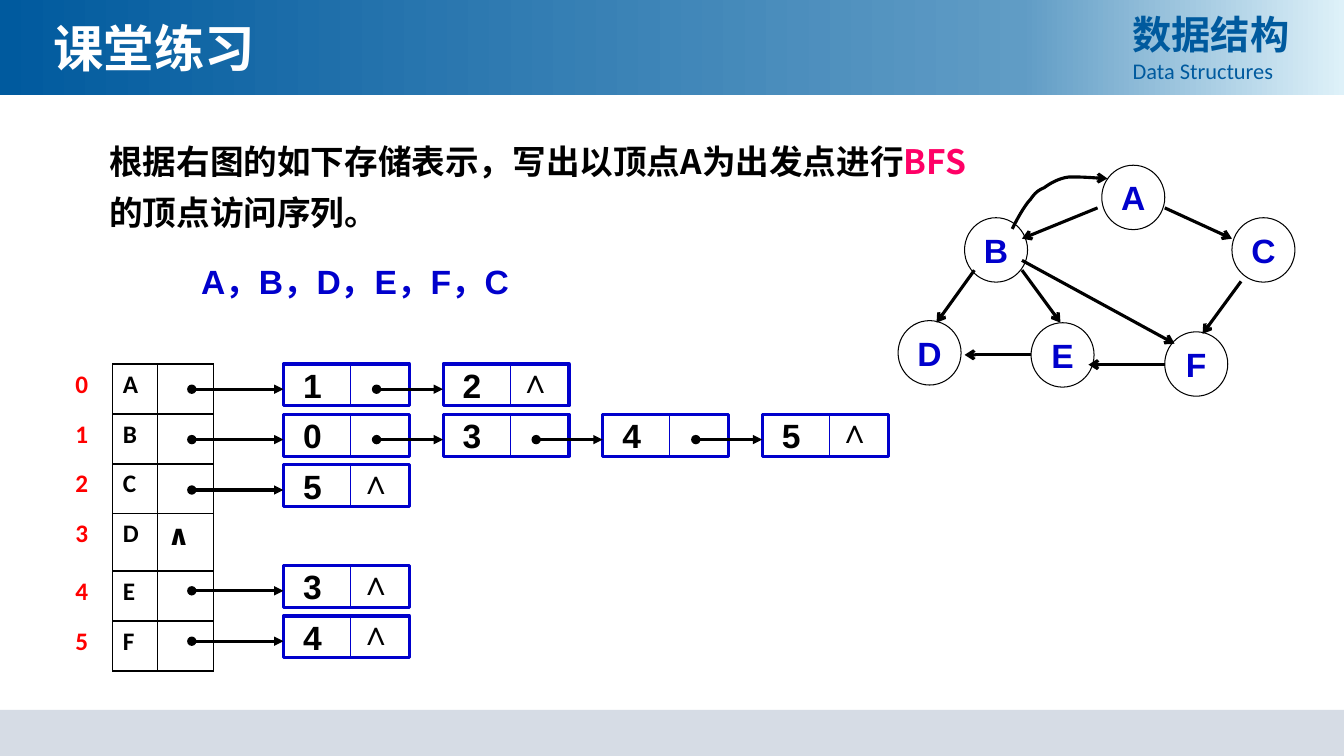
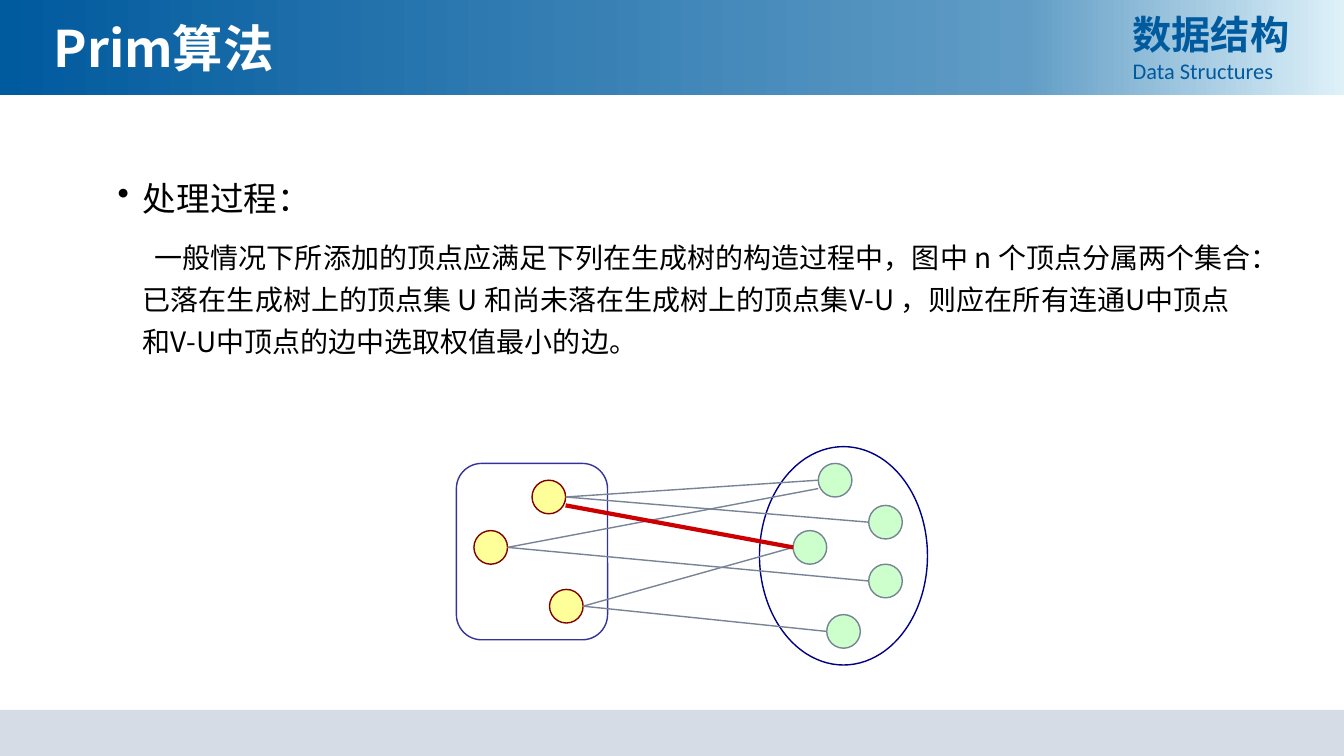
from copy import deepcopy

from pptx import Presentation
from pptx.dml.color import RGBColor
from pptx.enum import shapes as kinds, text as text_enums
from pptx.oxml.ns import qn
from pptx.util import Pt

BLUE = RGBColor(0x00, 0x5A, 0x9E)
MID_BLUE = RGBColor(0x60, 0x9C, 0xC5)
PALE_BLUE = RGBColor(0xDE, 0xF1, 0xF9)
FOOTER_GREY = RGBColor(0xD6, 0xDC, 0xE5)
WHITE = RGBColor(0xFF, 0xFF, 0xFF)
BLACK = RGBColor(0x00, 0x00, 0x00)
PINK = RGBColor(0xFF, 0x00, 0x66)
RED = RGBColor(0xFF, 0x00, 0x00)
INK_BLUE = RGBColor(0x00, 0x00, 0xCC)
INDIGO = RGBColor(0x33, 0x33, 0x99)
NAVY = RGBColor(0x00, 0x00, 0x82)
YELLOW = RGBColor(0xFF, 0xFF, 0x99)
MAROON = RGBColor(0x80, 0x00, 0x00)
GREEN = RGBColor(0xCC, 0xFF, 0xCC)
SLATE = RGBColor(0x77, 0x84, 0x95)
EDGE_RED = RGBColor(0xCC, 0x00, 0x00)

CJK, LATIN, SANS = "Noto Sans CJK SC", "Calibri", "Arial"
ALIGN, ANCHOR, SHAPE = text_enums.PP_ALIGN, text_enums.MSO_ANCHOR, kinds.MSO_SHAPE
NO_TABLE_STYLE = "{2D5ABB26-0587-4C30-8999-92F81FD0307C}"
WIDTH, HEIGHT = 960, 540

COURSE = [[("数据结构", {})],
          [("Data Structures", dict(size=16, font=LATIN, bold=False))]]

# Slide 1
EXERCISE = [[("根据右图的如下存储表示，写出以顶点A为出发点进行", {}),
             ("BFS", dict(color=PINK)),
             ("的顶点访问序列。", {})]]
ANSWER = "A，B，D，E，F，C"
ADJACENCY = [("A", [1, 2]), ("B", [0, 3, 4, 5]), ("C", [5]),
             ("D", []), ("E", [3]), ("F", [4])]
VERTICES = {"A": (787, 118), "C": (880, 155.5), "B": (689, 155.5),
            "D": (641.5, 229), "E": (736.5, 230.5), "F": (832, 237)}
ARCS = [(832, 148.5, 880, 170.5), (784, 148.5, 730, 170.5),
        (696, 193, 669, 230.5), (730, 193, 757.5, 230.5),
        (736.5, 253.5, 689, 253.5), (886.5, 201, 859, 238.5),
        (730, 186, 839, 245.5), (832, 260.5, 777.5, 260.5)]
# Bézier points of the arc from B to A: a start, then three for each piece
BACK_ARC = [(791, 127.5), (787, 127.5), (771, 126), (763, 126.5),
            (756, 127.5), (750, 131), (746, 134),
            (741.5, 136), (739.5, 137.5), (736, 142.5),
            (731.5, 147), (725.5, 158.5), (723, 163.5)]

# Slide 2
PROCESS_HEAD = "处理过程："
PROCESS = ("一般情况下所添加的顶点应满足下列在生成树的构造过程中，图中 n 个顶点分属两个集合："
           "已落在生成树上的顶点集 U 和尚未落在生成树上的顶点集V-U ，"
           "则应在所有连通U中顶点和V-U中顶点的边中选取权值最小的边。")
TREE_NODES = [(380, 343), (338.5, 379), (392.5, 421)]
OTHER_NODES = [(584.5, 331), (620.5, 361), (566.5, 379), (620.5, 403), (590.5, 439)]
# tree node, other node, vertical offset at each end
EDGES = [(0, 0, 0, 0), (1, 3, 0, 0), (2, 4, 0, 0),
         (2, 2, 0, 0), (0, 1, 0, 0), (1, 0, 0, 6)]
LIGHTEST_EDGE = (0, 2, 6, 0)
NODE = 24


def set_text(target, content, *, size=24, color=BLACK, font=CJK, bold=True,
             align=ALIGN.LEFT, spacing=None, anchor=ANCHOR.TOP,
             insets=(7.2, 3.6, 7.2, 3.6)):
    """Fill a shape or cell; content is a string or paragraphs of (text, format) runs."""
    frame = target.text_frame
    holder = target if hasattr(target, "vertical_anchor") else frame
    holder.vertical_anchor = anchor
    (holder.margin_left, holder.margin_top,
     holder.margin_right, holder.margin_bottom) = map(Pt, insets)
    frame.word_wrap = True
    if isinstance(content, str):
        content = [[(content, {})]]
    for number, runs in enumerate(content):
        paragraph = frame.add_paragraph() if number else frame.paragraphs[0]
        paragraph.alignment = align
        if spacing:
            paragraph.line_spacing = spacing
        for words, changes in runs:
            style = dict(size=size, color=color, font=font, bold=bold) | changes
            run = paragraph.add_run()
            run.text = words
            run.font.size = Pt(style["size"])
            run.font.bold = style["bold"]
            run.font.color.rgb = style["color"]
            run.font.name = style["font"]
            latin = run.font._element.find(qn("a:latin"))
            east_asian = latin.makeelement(qn("a:ea"), {"typeface": style["font"]})
            latin.addnext(east_asian)


def add_text(slide, box, content, **style):
    shape = slide.shapes.add_textbox(*map(Pt, box))
    set_text(shape, content, **style)
    return shape


def set_outline(shape, color, width):
    if color is None:
        shape.line.fill.background()
    else:
        shape.line.color.rgb = color
        shape.line.width = Pt(width)


def set_ends(shape, head, tail):
    line = shape.line._get_or_add_ln()
    for tag, kind in (("a:headEnd", head), ("a:tailEnd", tail)):
        if kind:
            line.append(line.makeelement(qn(tag), {"type": kind}))


def add_shape(slide, kind, box, fill=None, line=None, width=1):
    shape = slide.shapes.add_shape(kind, *map(Pt, box))
    shape.shadow.inherit = False
    if fill is None:
        shape.fill.background()
    else:
        shape.fill.solid()
        shape.fill.fore_color.rgb = fill
    set_outline(shape, line, width)
    return shape


def add_line(slide, ends, color=BLACK, width=2.25, head=None, tail=None):
    line = slide.shapes.add_connector(kinds.MSO_CONNECTOR.STRAIGHT, *map(Pt, ends))
    set_outline(line, color, width)
    properties = line._element.spPr
    properties.append(properties.makeelement(qn("a:effectLst"), {}))
    set_ends(line, head, tail)


def add_curve(slide, points, head):
    """Draw an open chain of cubic Bézier pieces as a fine polyline."""
    path = []
    for first in range(0, len(points) - 1, 3):
        for step in range(1, 9):
            t = step / 8
            weights = ((1 - t) ** 3, 3 * t * (1 - t) ** 2, 3 * t * t * (1 - t), t ** 3)
            path.append(tuple(
                Pt(sum(w * p[axis] for w, p in zip(weights, points[first:first + 4])))
                for axis in (0, 1)))
    builder = slide.shapes.build_freeform(*map(Pt, points[0]))
    builder.add_line_segments(path, close=False)
    curve = builder.convert_to_shape()
    curve.shadow.inherit = False
    curve.fill.background()
    set_outline(curve, BLACK, 2.25)
    set_ends(curve, head, None)


def new_slide(presentation, title):
    """Add a slide with the header band, footer band, course name and title."""
    slide = presentation.slides.add_slide(presentation.slide_layouts[5])
    header = add_shape(slide, SHAPE.RECTANGLE, (0, 0, WIDTH, 68))
    header.fill.gradient()
    header.fill.gradient_angle = 0
    stop_list = header._element.spPr.find(".//" + qn("a:gsLst"))
    stop_list.append(deepcopy(stop_list[0]))
    stops = ((0, BLUE), (0.76, MID_BLUE), (1, PALE_BLUE))
    for stop, (position, color) in zip(header.fill.gradient_stops, stops):
        stop.position = position
        stop.color.rgb = color
    add_shape(slide, SHAPE.RECTANGLE, (0, 507, WIDTH, 33), fill=FOOTER_GREY)
    add_text(slide, (802, 3.6, 137.5, 60.5), COURSE, size=28, color=BLUE,
             align=ALIGN.JUSTIFY)
    heading = slide.shapes.title
    heading.left, heading.top, heading.width, heading.height = map(
        Pt, (31, 8.6, 549, 51))
    set_text(heading, title, size=36, color=WHITE)
    slide.shapes._spTree.append(heading._element)  # in front of the bands
    return slide


def set_borders(cell, color, width):
    properties = cell._tc.get_or_add_tcPr()
    for place, side in enumerate("LRTB"):
        line = properties.makeelement(qn(f"a:ln{side}"), {"w": str(Pt(width))})
        fill = line.makeelement(qn("a:solidFill"), {})
        fill.append(fill.makeelement(qn("a:srgbClr"), {"val": str(color)}))
        line.append(fill)
        properties.insert(place, line)


def add_vertex_table(slide):
    columns, row_heights = (34, 31.7, 40.3), [35.7] * 3 + [40.8] + [35.7] * 2
    frame = slide.shapes.add_table(
        len(ADJACENCY), 3, *map(Pt, (46.6, 260, sum(columns), sum(row_heights))))
    table = frame.table
    table.first_row = table.horz_banding = False
    table._tbl.tblPr.find(qn("a:tableStyleId")).text = NO_TABLE_STYLE
    for column, width in zip(table.columns, columns):
        column.width = Pt(width)
    for index, (vertex, neighbours) in enumerate(ADJACENCY):
        table.rows[index].height = Pt(row_heights[index])
        entries = ((str(index), RED, 18), (vertex, BLACK, 18),
                   ("" if neighbours else "∧", BLACK, 20))
        for column, (words, color, size) in enumerate(entries):
            cell = table.cell(index, column)
            cell.fill.background()
            if column:
                set_borders(cell, BLACK, 1)
            if words:
                set_text(cell, words, size=size, color=color, font=LATIN)


def add_linked_lists(slide):
    left, top, pitch, row_pitch = 202.5, 260, 114, 36
    width, height, divider = 90, 30, 48
    for index, (_, neighbours) in enumerate(ADJACENCY):
        y = top + index * row_pitch
        arrow_start = 137
        for place, neighbour in enumerate(neighbours):
            x = left + place * pitch
            node = add_shape(slide, SHAPE.RECTANGLE, (x, y, width, height),
                             line=INK_BLUE, width=2.25)
            set_text(node, str(neighbour), font=SANS, anchor=ANCHOR.MIDDLE,
                     insets=(14, 0, 0, 0))
            add_line(slide, (x + divider, y, x + divider, y + height), INK_BLUE, 0.75)
            add_line(slide, (arrow_start, y + 18, x, y + 18),
                     head="oval", tail="triangle")
            arrow_start = x + 66.5
        if neighbours:
            add_text(slide, (x + 54, y - 6.5, 24, 36), "∧", font=SANS,
                     align=ALIGN.CENTER, insets=(0, 3.6, 0, 3.6))


def add_graph(slide):
    for vertex, corner in VERTICES.items():
        circle = add_shape(slide, SHAPE.OVAL, (*corner, 45, 46), line=BLACK, width=0.75)
        set_text(circle, vertex, color=INK_BLUE, font=SANS, align=ALIGN.CENTER,
                 anchor=ANCHOR.MIDDLE, insets=(0, 0, 0, 0))
    for ends in ARCS:
        add_line(slide, ends, tail="arrow")
    add_curve(slide, BACK_ARC, head="arrow")


def build_exercise(presentation):
    slide = new_slide(presentation, "课堂练习")
    add_text(slide, (71, 90, 642, 80), EXERCISE, spacing=1.25)
    add_text(slide, (136.5, 183, 276, 36), ANSWER, color=INK_BLUE, font=SANS)
    add_graph(slide)
    add_vertex_table(slide)
    add_linked_lists(slide)


def add_edge(slide, edge, color, width):
    tree, other, start_shift, end_shift = edge
    x1, y1 = TREE_NODES[tree]
    x2, y2 = OTHER_NODES[other]
    add_line(slide, (x1 + NODE, y1 + NODE / 2 + start_shift,
                     x2, y2 + NODE / 2 + end_shift), color, width)


def build_prim(presentation):
    slide = new_slide(presentation, "Prim算法")
    body = add_text(slide, (77, 116, 828, 343),
                    [[(PROCESS_HEAD, {})], [(PROCESS, dict(size=20))]],
                    bold=False, spacing=1.25)
    head, process = body.text_frame.paragraphs
    process.space_before = Pt(10)
    for paragraph, indent in ((head, -18), (process, 8.5)):
        properties = paragraph._p.get_or_add_pPr()
        properties.set("marL", str(Pt(18)))
        properties.set("indent", str(Pt(indent)))
    bullets = head._p.get_or_add_pPr()
    bullets.append(bullets.makeelement(qn("a:buChar"), {"char": "•"}))

    add_shape(slide, SHAPE.ROUNDED_RECTANGLE, (326, 331, 108, 126), line=INDIGO)
    add_shape(slide, SHAPE.OVAL, (542.5, 319, 120, 156), line=NAVY)
    for nodes, fill, line in ((TREE_NODES, YELLOW, MAROON), (OTHER_NODES, GREEN, SLATE)):
        for corner in nodes:
            add_shape(slide, SHAPE.OVAL, (*corner, NODE, NODE), fill, line)
    for edge in EDGES:
        add_edge(slide, edge, SLATE, 1)
    add_edge(slide, LIGHTEST_EDGE, EDGE_RED, 3)


def main():
    presentation = Presentation()
    presentation.slide_width, presentation.slide_height = Pt(WIDTH), Pt(HEIGHT)
    build_exercise(presentation)
    build_prim(presentation)
    presentation.save("out.pptx")


if __name__ == "__main__":
    main()
